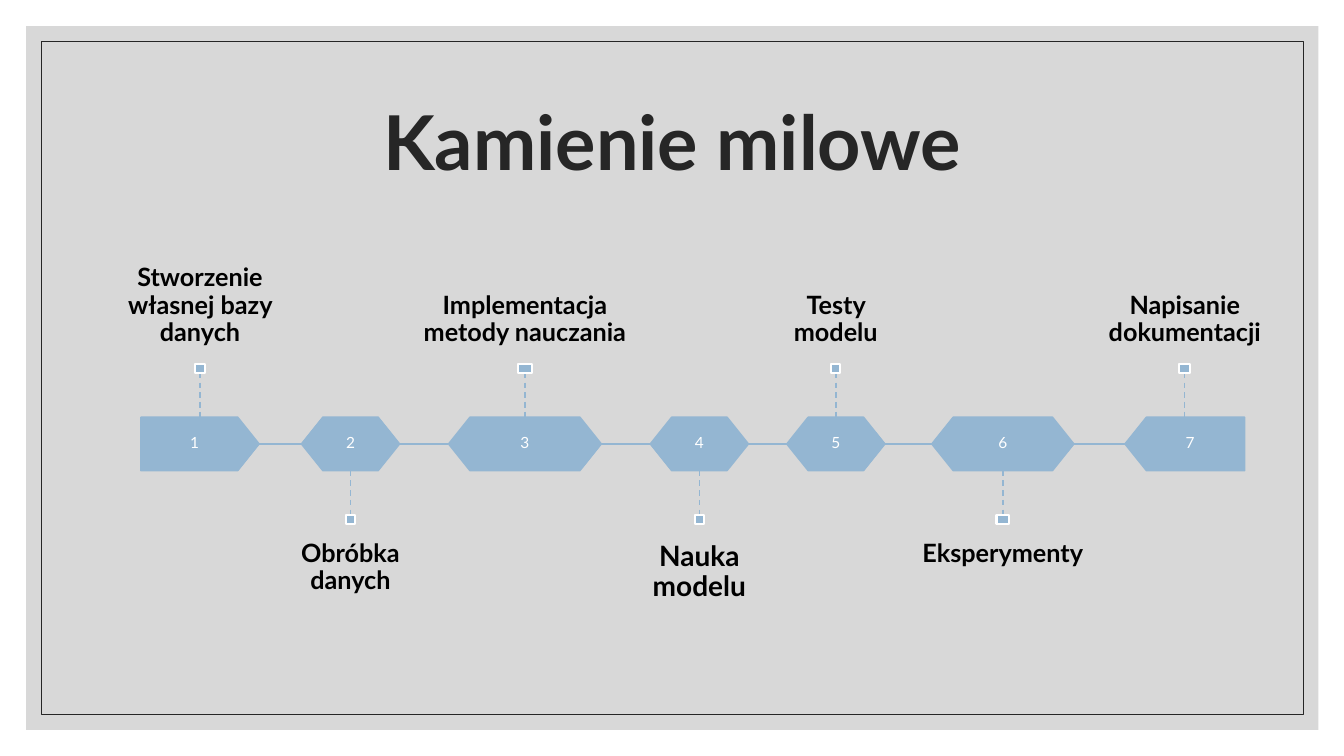
import pptx
import pptx.util
import pptx.dml.color
import pptx.enum.dml
import pptx.enum.shapes
import pptx.enum.text
import pptx.oxml.ns
from lxml import etree

Pt = pptx.util.Pt
RGBColor = pptx.dml.color.RGBColor
Shape = pptx.enum.shapes.MSO_SHAPE
Anchor = pptx.enum.text.MSO_ANCHOR
qn = pptx.oxml.ns.qn

BLUE = RGBColor(0x94, 0xB6, 0xD2)
GREY = RGBColor(0xBF, 0xBF, 0xBF)
DARK = RGBColor(0x26, 0x26, 0x26)
BLACK = RGBColor(0, 0, 0)
WHITE = RGBColor(0xFF, 0xFF, 0xFF)
FONT = "Lato"

TITLE = "Kamienie milowe"
MILESTONES = [
    ("Stworzenie własnej bazy danych", 117.4, 18),
    ("Obróbka danych", 97.5, 18),
    ("Implementacja metody nauczania", 151.7, 18),
    ("Nauka modelu", 97.5, 20),
    ("Testy modelu", 97.5, 18),
    ("Eksperymenty", 141.1, 18),
    ("Napisanie dokumentacji", 118.8, 18),
]

SLIDE_WIDTH, SLIDE_HEIGHT = 960, 540
TIMELINE_LEFT = 84.2
PLATE_TOP, PLATE_HEIGHT = 298, 38.2
PLATE_BOTTOM = PLATE_TOP + PLATE_HEIGHT
AXIS = PLATE_TOP + PLATE_HEIGHT / 2
PLATE_SHARE, MARKER_SHARE = 0.72, 0.09
POINT_RATIO = 0.4
STEM, MARKER_HEIGHT = 31.7, 6.4
UPPER_LABEL_TOP, LOWER_LABEL_TOP, LABEL_HEIGHT = 158.4, 373.7, 101.5


def write(box, text, size, color, bold=False, anchor=Anchor.MIDDLE, side=0, edge=0):
    frame = box.text_frame
    frame.word_wrap = True
    frame.auto_size = pptx.enum.text.MSO_AUTO_SIZE.NONE
    frame.vertical_anchor = anchor
    frame.margin_left = frame.margin_right = Pt(side)
    frame.margin_top = frame.margin_bottom = Pt(edge)
    para = frame.paragraphs[0]
    para.alignment = pptx.enum.text.PP_ALIGN.CENTER
    para.line_spacing = 0.9
    span = para.add_run()
    span.text = text
    span.font.name = FONT
    span.font.size = Pt(size)
    span.font.bold = bold
    span.font.color.rgb = color


def add_box(page, left, top, width, height):
    return page.shapes.add_textbox(Pt(left), Pt(top), Pt(width), Pt(height))


def add_block(page, kind, left, top, width, height, fill=None, line=None, weight=1):
    block = page.shapes.add_shape(kind, Pt(left), Pt(top), Pt(width), Pt(height))
    block.shadow.inherit = False
    if fill is None:
        block.fill.background()
    else:
        block.fill.solid()
        block.fill.fore_color.rgb = fill
    if line is None:
        block.line.fill.background()
    else:
        block.line.color.rgb = line
        block.line.width = Pt(weight)
    return block


def add_line(page, x1, y1, x2, y2, dashed=False):
    line = page.shapes.add_connector(
        pptx.enum.shapes.MSO_CONNECTOR.STRAIGHT, Pt(x1), Pt(y1), Pt(x2), Pt(y2))
    line.line.color.rgb = BLUE
    line.line.width = Pt(1)
    if dashed:
        line.line.dash_style = pptx.enum.dml.MSO_LINE.DASH
    etree.SubElement(line.element.spPr, qn("a:effectLst"))


def add_background(page):
    panel = add_block(page, Shape.RECTANGLE, 18.7, 18.7, 923, 502.6, fill=GREY)
    color = panel.element.spPr.find(qn("a:solidFill")).find(qn("a:srgbClr"))
    etree.SubElement(color, qn("a:alpha")).set("val", "60000")
    add_block(page, Shape.RECTANGLE, 29.5, 29.5, 901.4, 481, line=DARK, weight=0.5)


def add_title(page):
    title = page.shapes.title
    title.left, title.top, title.width, title.height = Pt(84.2), Pt(50.4), Pt(792), Pt(108)
    write(title, TITLE, 54, DARK, bold=True, side=7.2, edge=3.6)
    title.element.getparent().append(title.element)


def add_plate(page, index, left, width):
    last = index == len(MILESTONES) - 1
    kind = Shape.PENTAGON if index == 0 or last else Shape.HEXAGON
    plate = add_block(page, kind, left, PLATE_TOP, width, PLATE_HEIGHT, fill=BLUE, line=BLUE)
    plate.adjustments[0] = POINT_RATIO
    trim = PLATE_HEIGHT * POINT_RATIO / 2 if kind == Shape.PENTAGON else 0
    if last:
        plate.rotation = 180
        left += trim
    number = add_box(page, left, PLATE_TOP, width - trim, PLATE_HEIGHT)
    write(number, str(index + 1), 11, WHITE)


def add_callout(page, text, size, left, width, marker_width, above):
    center = left + width / 2
    if above:
        stem_top = PLATE_TOP - STEM
        marker_top = stem_top - MARKER_HEIGHT
        label_top, anchor = UPPER_LABEL_TOP, Anchor.BOTTOM
    else:
        stem_top = PLATE_BOTTOM
        marker_top = stem_top + STEM
        label_top, anchor = LOWER_LABEL_TOP, Anchor.TOP
    add_line(page, center, stem_top, center, stem_top + STEM, dashed=True)
    add_block(page, Shape.RECTANGLE, center - marker_width / 2, marker_top,
              marker_width, MARKER_HEIGHT, fill=BLUE, line=WHITE, weight=1.5)
    label = add_box(page, left, label_top, width, LABEL_HEIGHT)
    write(label, text, size, BLACK, bold=True, anchor=anchor, edge=size * 0.68)


def add_timeline(page):
    left = TIMELINE_LEFT
    previous_right = None
    for index, (text, width, size) in enumerate(MILESTONES):
        plate_width = width * PLATE_SHARE
        plate_left = left + (width - plate_width) / 2
        if previous_right is not None:
            add_line(page, previous_right, AXIS, plate_left, AXIS)
        add_plate(page, index, plate_left, plate_width)
        add_callout(page, text, size, left, width, plate_width * MARKER_SHARE, index % 2 == 0)
        previous_right = plate_left + plate_width
        left += width


def main():
    deck = pptx.Presentation()
    deck.slide_width, deck.slide_height = Pt(SLIDE_WIDTH), Pt(SLIDE_HEIGHT)
    page = deck.slides.add_slide(deck.slide_layouts[5])
    add_background(page)
    add_title(page)
    add_timeline(page)
    deck.save("out.pptx")


if __name__ == "__main__":
    main()
